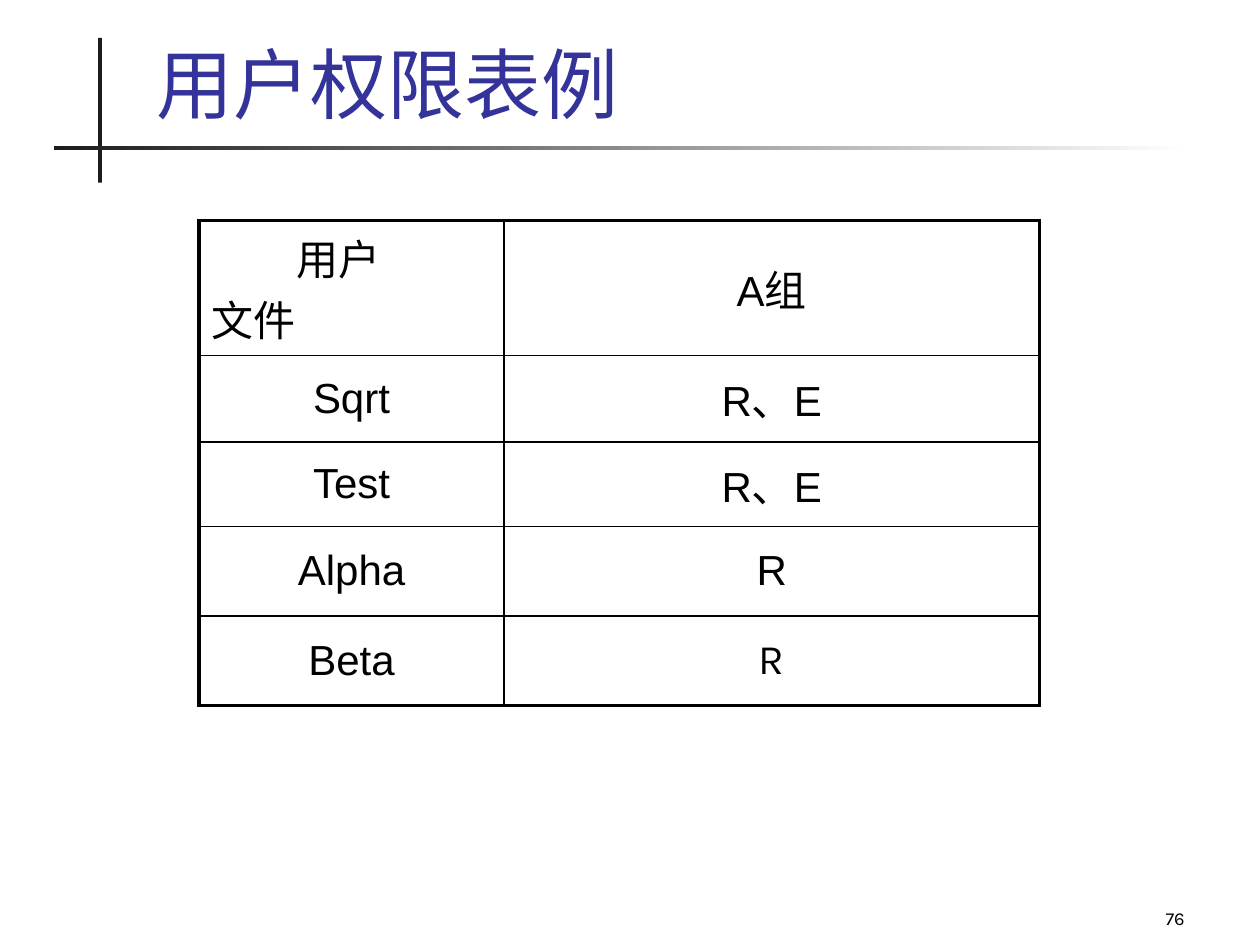
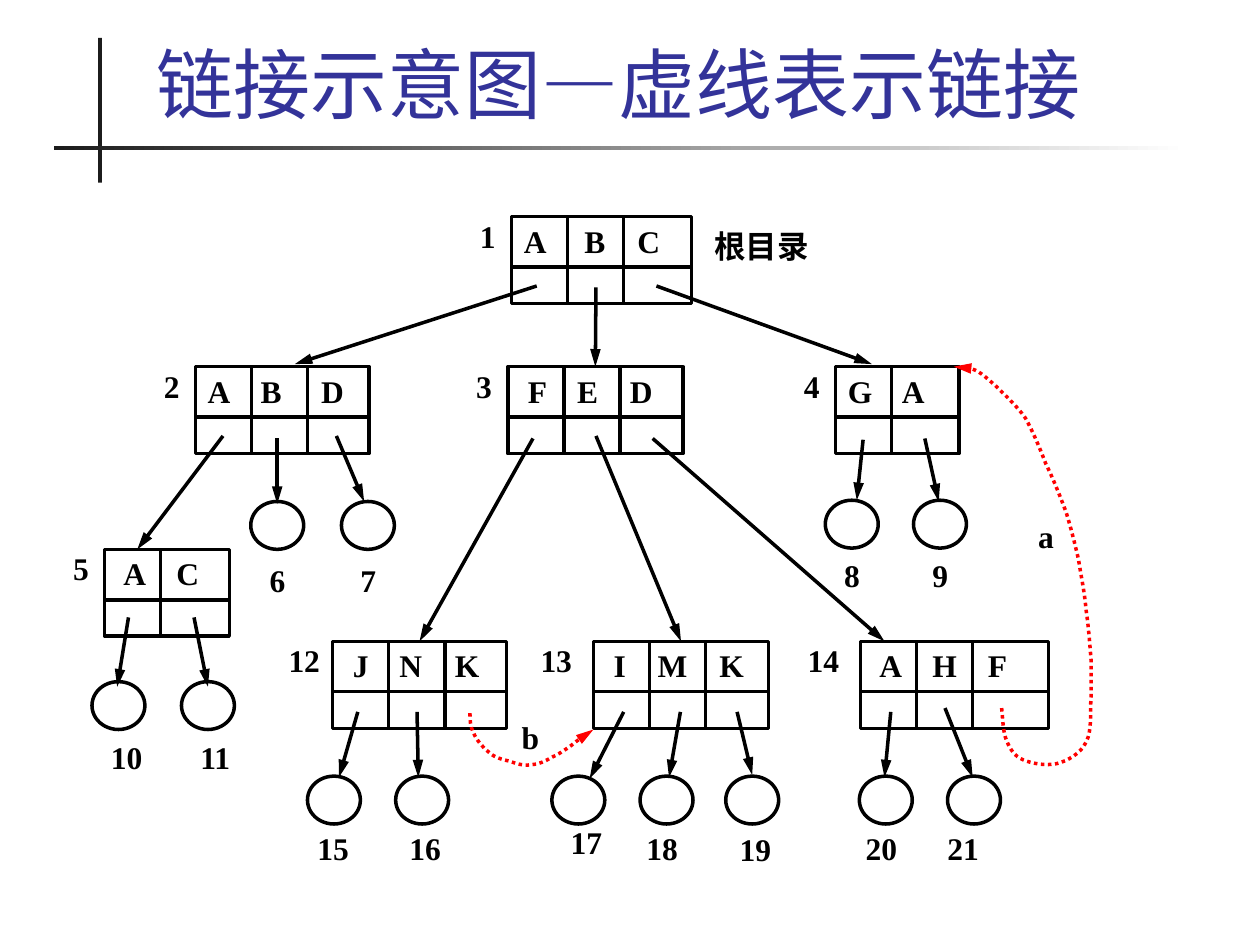
"""Build two slides: a file permission table and a linked directory tree."""
from dataclasses import dataclass

from lxml import etree
from pptx import Presentation
from pptx import util as u
from pptx.dml.color import RGBColor
from pptx.enum import dml, shapes, text
from pptx.oxml.ns import qn

BLACK, WHITE, RED = "000000", "FFFFFF", "FF0000"
DARK, TITLE_BLUE = "1C1C1C", "333399"
TITLE_FONT, TABLE_FONT, NUMBER_FONT, TREE_FONT = "TeX Gyre Schola", "Arial", "Karla", "Times New Roman"
NODE_HEIGHT, POINTER_ROW, CELL_WIDTH = 0.69, 0.4, 0.445
CIRCLE_WIDTH, CIRCLE_HEIGHT = 0.42, 0.38
LINE_WIDTH = 2
JUSTIFY = text.PP_ALIGN.JUSTIFY


@dataclass
class Directory:
    """A directory node: its number, place, entry names and where these start."""
    number: str
    left: float
    top: float
    width: float
    entries: str
    offsets: tuple
    number_gap: float = 0.25


DIRECTORIES = [
    Directory("1", 4.06, 1.72, 1.43, "ABC", (0.1, 0.58, 1.0)),
    Directory("2", 1.55, 2.91, 1.38, "ABD", (0.1, 0.52, 1.0)),
    Directory("3", 4.03, 2.91, 1.39, "FED", (0.16, 0.55, 0.97)),
    Directory("4", 6.63, 2.91, 0.98, "GA", (0.1, 0.53)),
    Directory("5", 0.83, 4.36, 0.99, "AC", (0.15, 0.57)),
    Directory("12", 2.64, 5.09, 1.38, "JNK", (0.16, 0.53, 0.97), 0.35),
    Directory("13", 4.71, 5.09, 1.39, "IMK", (0.16, 0.51, 1.0), 0.42),
    Directory("14", 6.83, 5.09, 1.49, "AHF", (0.15, 0.57, 1.01), 0.42),
]

# Number, circle left and top, label left and top.
FILES = [
    ("6", 1.99, 3.98, 2.14, 4.45), ("7", 2.71, 3.98, 2.86, 4.45),
    ("8", 6.55, 3.97, 6.7, 4.41), ("9", 7.25, 3.97, 7.4, 4.41),
    ("10", 0.73, 5.41, 0.88, 5.86), ("11", 1.44, 5.41, 1.59, 5.86),
    ("15", 2.44, 6.16, 2.52, 6.58), ("16", 3.14, 6.16, 3.25, 6.58),
    ("17", 4.38, 6.16, 4.53, 6.53), ("18", 5.08, 6.16, 5.13, 6.58),
    ("19", 5.76, 6.16, 5.87, 6.59), ("20", 6.82, 6.16, 6.87, 6.58),
    ("21", 7.52, 6.16, 7.52, 6.58),
]

# Start, end and, where the arrow meets the middle of its top, the directory.
ARROWS = [
    ((4.26, 2.27), (2.34, 2.89), None), ((4.73, 2.28), (4.73, 2.91), "3"),
    ((5.21, 2.27), (6.92, 2.89), None), ((1.77, 3.46), (1.09, 4.36), None),
    ((2.2, 3.48), (2.2, 4), None), ((2.67, 3.46), (2.89, 3.98), None),
    ((6.85, 3.49), (6.8, 3.97), None), ((7.34, 3.48), (7.45, 3.98), None),
    ((1.02, 4.9), (0.93, 5.45), None), ((1.54, 4.9), (1.65, 5.45), None),
    ((4.23, 3.48), (3.36, 5.1), "12"), ((4.73, 3.46), (5.41, 5.09), "13"),
    ((5.18, 3.48), (7.02, 5.09), None), ((2.84, 5.65), (2.69, 6.17), None),
    ((3.31, 5.65), (3.32, 6.17), None), ((4.95, 5.65), (4.68, 6.18), None),
    ((5.4, 5.65), (5.31, 6.17), None), ((5.85, 5.65), (5.97, 6.15), None),
    ((7.07, 5.65), (7.02, 6.17), None), ((7.5, 5.62), (7.72, 6.17), None),
]

LINK_A = [
    (7.95, 5.62), (7.96, 5.71), (7.96, 5.81), (7.99, 5.88), (8.02, 5.95), (8.05, 6), (8.12, 6.03),
    (8.19, 6.06), (8.3, 6.08), (8.39, 6.06), (8.47, 6.04), (8.58, 5.98), (8.62, 5.89),
    (8.67, 5.8), (8.65, 5.63), (8.66, 5.53), (8.66, 5.42), (8.66, 5.35), (8.66, 5.24),
    (8.65, 5.12), (8.64, 4.97), (8.62, 4.84), (8.61, 4.71), (8.58, 4.57), (8.56, 4.44),
    (8.53, 4.31), (8.5, 4.19), (8.46, 4.06), (8.41, 3.93), (8.36, 3.8), (8.3, 3.68),
    (8.25, 3.55), (8.2, 3.43), (8.14, 3.32), (8.07, 3.22), (7.97, 3.13), (7.9, 3.06),
    (7.83, 3), (7.78, 2.95), (7.72, 2.93), (7.66, 2.9), (7.62, 2.91), (7.57, 2.91),
]
LINK_B = [
    (3.73, 5.66), (3.73, 5.71), (3.73, 5.76), (3.76, 5.82), (3.78, 5.87), (3.83, 5.93), (3.88, 5.97),
    (3.92, 6.01), (3.99, 6.03), (4.04, 6.04), (4.1, 6.06), (4.15, 6.08), (4.21, 6.07),
    (4.27, 6.07), (4.33, 6.04), (4.38, 6.01), (4.43, 5.99), (4.47, 5.96), (4.53, 5.92),
    (4.58, 5.88), (4.67, 5.81), (4.71, 5.79),
]


def color(value):
    """Turn a hex string into a colour."""
    return RGBColor.from_string(value)


def inches(*lengths):
    """Turn several lengths into inches."""
    return [u.Inches(length) for length in lengths]


def add_run(paragraph, words, font, size, fill=BLACK, bold=False):
    """Add one formatted run to a paragraph."""
    run = paragraph.add_run()
    run.text = words
    run.font.name, run.font.size, run.font.bold = font, u.Pt(size), bold
    run.font.color.rgb = color(fill)


def set_insets(frame, left, top, right, bottom):
    """Set the four insets of a text frame."""
    frame.margin_left, frame.margin_top, frame.margin_right, frame.margin_bottom = inches(
        left, top, right, bottom)


def add_text(slide, box, runs, size, fill=BLACK, bold=False, align=None, anchor=None, insets=None):
    """Add a wrapped text box made of (words, font) runs."""
    frame = slide.shapes.add_textbox(*inches(*box)).text_frame
    frame.word_wrap = True
    frame.vertical_anchor = anchor or text.MSO_ANCHOR.TOP
    if insets:
        set_insets(frame, *insets)
    paragraph = frame.paragraphs[0]
    paragraph.alignment = align
    for words, font in runs:
        add_run(paragraph, words, font, size, fill, bold)


def add_label(slide, words, left, top, width=0.4):
    """Add a bold label of the tree."""
    add_text(slide, (left, top, width, 0.31), [(words, TREE_FONT)], 18, bold=True,
             align=JUSTIFY, insets=(0, 0, 0, 0))


def add_shape(slide, kind, box, fill=WHITE):
    """Add a flat preset shape without a line."""
    shape = slide.shapes.add_shape(kind, *inches(*box))
    shape.shadow.inherit = False
    shape.fill.solid()
    shape.fill.fore_color.rgb = color(fill)
    shape.line.fill.background()
    return shape


def set_line(shape, stroke=BLACK, arrow=False, dash=None):
    """Give a shape its line, with a long arrowhead if asked."""
    shape.line.color.rgb = color(stroke)
    shape.line.width = u.Pt(LINE_WIDTH)
    if dash:
        shape.line.dash_style = dash
    if arrow:
        outline = shape._element.spPr.find(qn("a:ln"))
        etree.SubElement(outline, qn("a:tailEnd"), type="triangle", w="med", len="lg")


def add_line(slide, start, end, arrow=False, target=None):
    """Add a straight line, joined to the top of the target if given."""
    line = slide.shapes.add_connector(shapes.MSO_CONNECTOR.STRAIGHT, *inches(*start, *end))
    set_line(line, arrow=arrow)
    etree.SubElement(line._element.spPr, qn("a:effectLst"))
    if target is not None:
        line.end_connect(target, 0)


def add_link(slide, points):
    """Add a dotted curved arrow through a chain of cubic Bezier points."""
    first, *rest = [inches(*point) for point in points]
    builder = slide.shapes.build_freeform(*first)
    builder.add_line_segments(rest, close=False)
    link = builder.convert_to_shape()
    segments = list(link._element.iter(qn("a:lnTo")))
    for index in range(0, len(segments), 3):
        curve = etree.Element(qn("a:cubicBezTo"))
        segments[index].addprevious(curve)
        for segment in segments[index:index + 3]:
            curve.append(segment[0])
            segment.getparent().remove(segment)
    link.shadow.inherit = False
    link.fill.background()
    set_line(link, RED, arrow=True, dash=dml.MSO_LINE.ROUND_DOT)


def add_directory(slide, directory):
    """Add a directory box with its names, dividers and number."""
    left, top, width = directory.left, directory.top, directory.width
    box = add_shape(slide, shapes.MSO_SHAPE.RECTANGLE, (left, top, width, NODE_HEIGHT))
    set_line(box)
    frame = box.text_frame
    frame.vertical_anchor = text.MSO_ANCHOR.TOP
    first, *others = directory.offsets
    set_insets(frame, first, 0.04, 0.06, 0.02)
    paragraph = frame.paragraphs[0]
    paragraph.alignment = text.PP_ALIGN.LEFT
    tabs = etree.SubElement(paragraph._p.get_or_add_pPr(), qn("a:tabLst"))
    for offset in others:
        etree.SubElement(tabs, qn("a:tab"), pos=str(u.Inches(offset - first)), algn="l")
    add_run(paragraph, "\t".join(directory.entries), TREE_FONT, 18, bold=True)
    add_line(slide, (left, top + POINTER_ROW), (left + width, top + POINTER_ROW))
    for index in range(1, len(directory.entries)):
        x = left + index * CELL_WIDTH
        add_line(slide, (x, top), (x, top + NODE_HEIGHT))
    add_label(slide, directory.number, left - directory.number_gap, top)
    return box


def add_file(slide, number, left, top, label_left, label_top):
    """Add a file circle and its number."""
    circle = add_shape(slide, shapes.MSO_SHAPE.OVAL, (left, top, CIRCLE_WIDTH, CIRCLE_HEIGHT))
    set_line(circle)
    add_label(slide, number, label_left, label_top)


def add_titled_slide(presentation, title_runs):
    """Add a blank slide with the crossed bars and a title."""
    slide = presentation.slides.add_slide(presentation.slide_layouts[6])
    add_shape(slide, shapes.MSO_SHAPE.RECTANGLE, (0.78, 0.3, 0.03, 1.15), DARK)
    bar = add_shape(slide, shapes.MSO_SHAPE.RECTANGLE, (0.43, 1.16, 9, 0.03))
    bar.fill.gradient()
    bar.fill.gradient_angle = 0
    for stop, value, position in zip(bar.fill.gradient_stops, (DARK, WHITE), (0, 1)):
        stop.color.rgb = color(value)
        stop.position = position
    add_text(slide, (1.14, 0.25, 8.59, 0.82), title_runs, 44, TITLE_BLUE,
             anchor=text.MSO_ANCHOR.BOTTOM)
    return slide


def set_borders(cell, widths):
    """Draw the left, right, top and bottom borders of a cell."""
    for side, width in zip("LRTB", widths):
        border = etree.SubElement(cell._tc.get_or_add_tcPr(), qn(f"a:ln{side}"), w=str(u.Pt(width)))
        fill = etree.SubElement(border, qn("a:solidFill"))
        etree.SubElement(fill, qn("a:srgbClr"), val=BLACK)


def add_permission_table(slide):
    """Add the table of files and the rights of group A."""
    rows = [("用户\n文件", "A组"), ("Sqrt", "R、E"), ("Test", "R、E"), ("Alpha", "R"), ("Beta", "R")]
    heights, widths = (1.07, 0.69, 0.67, 0.71, 0.71), (2.42, 4.25)
    last_row, last_column = len(rows) - 1, len(widths) - 1
    table = slide.shapes.add_table(
        len(rows), len(widths), *inches(1.58, 1.75, sum(widths), sum(heights))).table
    table.first_row = table.horz_banding = False
    for column, width in zip(table.columns, widths):
        column.width = u.Inches(width)
    for r, (row, height) in enumerate(zip(rows, heights)):
        table.rows[r].height = u.Inches(height)
        for c, words in enumerate(row):
            cell = table.cell(r, c)
            outer = (c == 0, c == last_column, r == 0, r == last_row)
            set_borders(cell, [2.25 if edge else 1 for edge in outer])
            cell.fill.background()
            corner = r == c == 0
            cell.vertical_anchor = text.MSO_ANCHOR.TOP if corner else text.MSO_ANCHOR.MIDDLE
            font = NUMBER_FONT if (r, c) == (last_row, last_column) else TABLE_FONT
            for index, line in enumerate(words.split("\n")):
                paragraph = cell.text_frame.add_paragraph() if index else cell.text_frame.paragraphs[0]
                paragraph.alignment = JUSTIFY if corner else text.PP_ALIGN.CENTER
                add_run(paragraph, line, font, 24)
    heading = table.cell(0, 0).text_frame.paragraphs[0]
    heading._p.get_or_add_pPr().set("marL", str(u.Inches(0.67)))


def add_tree(slide):
    """Add the directory tree with its files, arrows and links."""
    boxes = {directory.number: add_directory(slide, directory) for directory in DIRECTORIES}
    add_label(slide, "根目录", 5.67, 1.8, 0.8)
    for file in FILES:
        add_file(slide, *file)
    for start, end, target in ARROWS:
        add_line(slide, start, end, arrow=True, target=boxes.get(target))
    add_link(slide, LINK_A)
    add_link(slide, LINK_B)
    add_label(slide, "a", 8.24, 4.1)
    add_label(slide, "b", 4.14, 5.7)


def main():
    """Build and save the presentation."""
    presentation = Presentation()
    presentation.slide_width, presentation.slide_height = inches(10, 7.5)
    slide = add_titled_slide(presentation, [("用户权限表例", TITLE_FONT)])
    add_permission_table(slide)
    add_text(slide, (7.42, 6.92, 2.08, 0.5), [("76", NUMBER_FONT)], 10.5,
             align=text.PP_ALIGN.RIGHT, anchor=text.MSO_ANCHOR.BOTTOM)
    slide = add_titled_slide(presentation, [
        ("链接示意图", TITLE_FONT), ("—", TREE_FONT), ("虚线表示链接", TITLE_FONT)])
    add_tree(slide)
    presentation.save("out.pptx")


if __name__ == "__main__":
    main()
